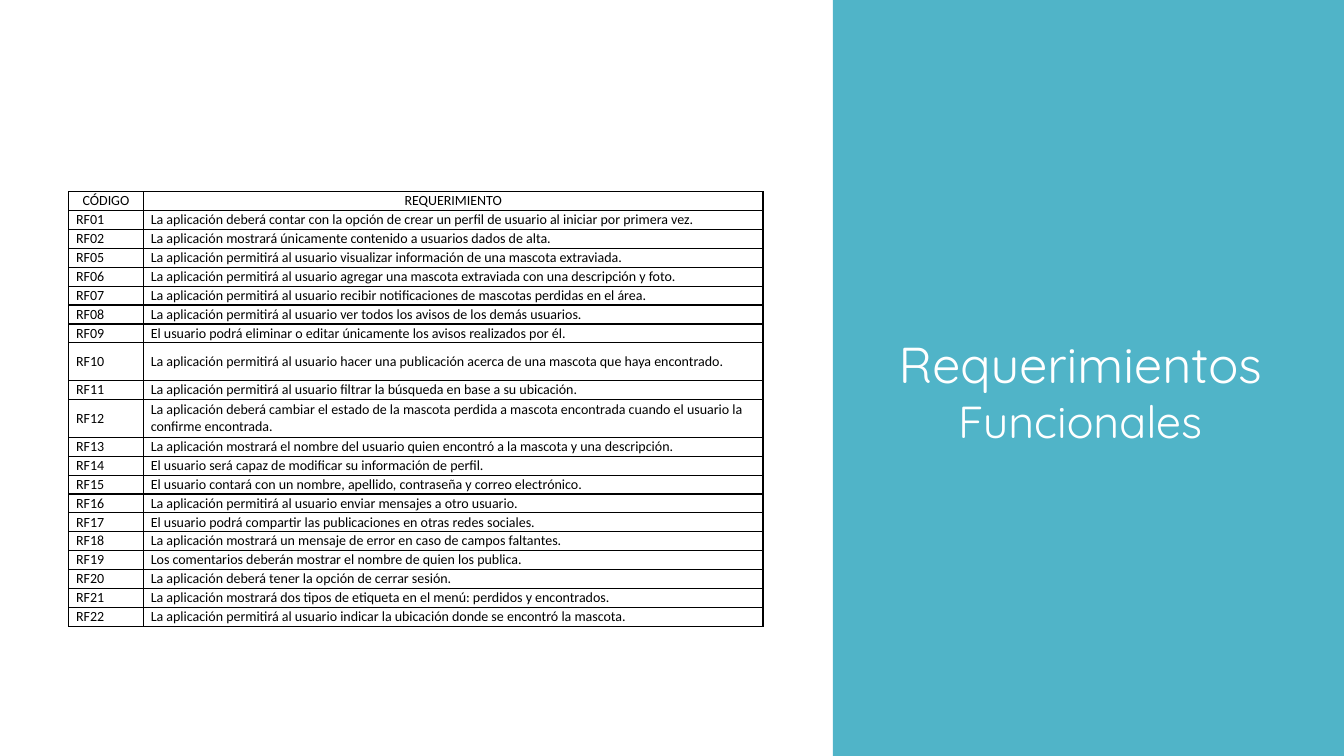
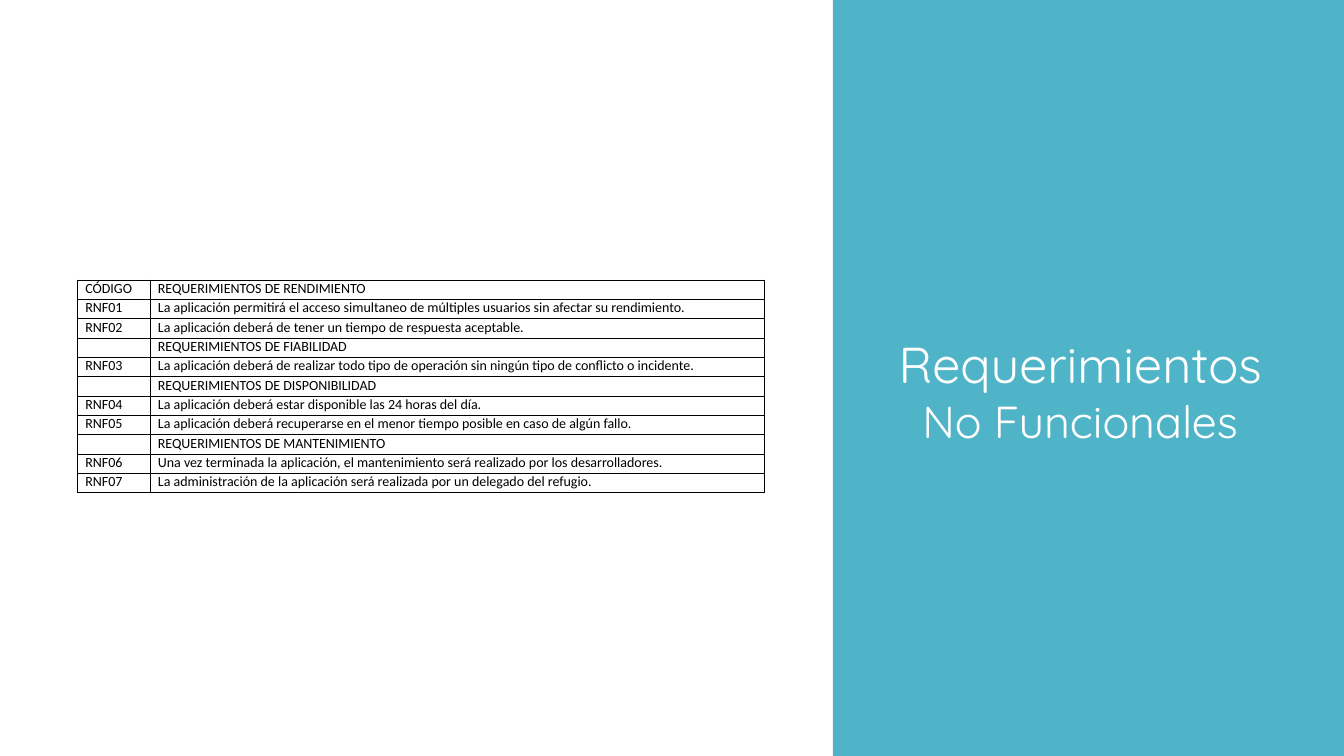
from dataclasses import dataclass

from lxml import etree
from pptx import Presentation
from pptx.dml.color import RGBColor
from pptx.enum import shapes, text
from pptx.oxml import ns
from pptx.slide import Slide
from pptx.table import _Cell as Cell
from pptx.util import Cm, Pt

TEAL = RGBColor(0x50, 0xB4, 0xC8)
WHITE = RGBColor(0xFF, 0xFF, 0xFF)
BLACK = RGBColor(0, 0, 0)
TITLE_FONT = "Quicksand"
GRID_FONT = "Calibri"
GRID_SIZE = Pt(10)
WIDTH, HEIGHT = Cm(33.87), Cm(19.05)
PANEL = Cm(20.99)
MID = text.MSO_ANCHOR.MIDDLE
TOP = text.MSO_ANCHOR.TOP
LEFT = text.PP_ALIGN.LEFT
CENTER = text.PP_ALIGN.CENTER


@dataclass(frozen=True)
class Row:
    code: str
    need: str
    units: int = 1


@dataclass(frozen=True)
class Page:
    """Column widths and places are in centimetres."""
    kind: str
    left: float
    top: float
    cols: tuple[float, float]
    height: float
    anchor: text.MSO_ANCHOR
    head: text.PP_ALIGN
    rows: tuple[Row, ...]


PAGES = (
    Page("Funcionales", 1.73, 4.83, (1.88, 15.62), 10.97, MID, CENTER, (
        Row("CÓDIGO", "REQUERIMIENTO"),
        Row("RF01", "La aplicación deberá contar con la opción de crear un perfil de usuario al iniciar por primera vez."),
        Row("RF02", "La aplicación mostrará únicamente contenido a usuarios dados de alta."),
        Row("RF05", "La aplicación permitirá al usuario visualizar información de una mascota extraviada."),
        Row("RF06", "La aplicación permitirá al usuario agregar una mascota extraviada con una descripción y foto."),
        Row("RF07", "La aplicación permitirá al usuario recibir notificaciones de mascotas perdidas en el área."),
        Row("RF08", "La aplicación permitirá al usuario ver todos los avisos de los demás usuarios."),
        Row("RF09", "El usuario podrá eliminar o editar únicamente los avisos realizados por él."),
        Row("RF10", "La aplicación permitirá al usuario hacer una publicación acerca de una mascota que haya encontrado.", 2),
        Row("RF11", "La aplicación permitirá al usuario filtrar la búsqueda en base a su ubicación."),
        Row("RF12", "La aplicación deberá cambiar el estado de la mascota perdida a mascota encontrada "
                    "cuando el usuario la confirme encontrada.", 2),
        Row("RF13", "La aplicación mostrará el nombre del usuario quien encontró a la mascota y una descripción."),
        Row("RF14", "El usuario será capaz de modificar su información de perfil."),
        Row("RF15", "El usuario contará con un nombre, apellido, contraseña y correo electrónico."),
        Row("RF16", "La aplicación permitirá al usuario enviar mensajes a otro usuario."),
        Row("RF17", "El usuario podrá compartir las publicaciones en otras redes sociales."),
        Row("RF18", "La aplicación mostrará un mensaje de error en caso de campos faltantes."),
        Row("RF19", "Los comentarios deberán mostrar el nombre de quien los publica."),
        Row("RF20", "La aplicación deberá tener la opción de cerrar sesión."),
        Row("RF21", "La aplicación mostrará dos tipos de etiqueta en el menú: perdidos y encontrados."),
        Row("RF22", "La aplicación permitirá al usuario indicar la ubicación donde se encontró la mascota."),
    )),
    Page("No Funcionales", 1.96, 7.06, (1.83, 15.47), 5.36, TOP, LEFT, (
        Row("CÓDIGO", "REQUERIMIENTOS DE RENDIMIENTO"),
        Row("RNF01", "La aplicación permitirá el acceso simultaneo de múltiples usuarios sin afectar su rendimiento."),
        Row("RNF02", "La aplicación deberá de tener un tiempo de respuesta aceptable."),
        Row("", "REQUERIMIENTOS DE FIABILIDAD"),
        Row("RNF03", "La aplicación deberá de realizar todo tipo de operación sin ningún tipo de conflicto o incidente."),
        Row("", "REQUERIMIENTOS DE DISPONIBILIDAD"),
        Row("RNF04", "La aplicación deberá estar disponible las 24 horas del día."),
        Row("RNF05", "La aplicación deberá recuperarse en el menor tiempo posible en caso de algún fallo."),
        Row("", "REQUERIMIENTOS DE MANTENIMIENTO"),
        Row("RNF06", "Una vez terminada la aplicación, el mantenimiento será realizado por los desarrolladores."),
        Row("RNF07", "La administración de la aplicación será realizada por un delegado del refugio."),
    )),
)


def style(para, font: str, size: Pt, color: RGBColor) -> None:
    for run in para.runs:
        run.font.name = font
        run.font.size = size
        run.font.color.rgb = color


def panel(slide: Slide, kind: str) -> None:
    """Draw the teal side panel with its two-line title."""
    band = slide.shapes.add_shape(
        shapes.MSO_SHAPE.RECTANGLE, PANEL, 0, WIDTH - PANEL, HEIGHT)
    band.shadow.inherit = False
    band.fill.solid()
    band.fill.fore_color.rgb = TEAL
    band.line.fill.background()

    box = slide.shapes.add_textbox(Cm(22.17), Cm(8.26), Cm(10.11), Cm(3.17))
    frame = box.text_frame
    frame.word_wrap = False
    frame.auto_size = text.MSO_AUTO_SIZE.SHAPE_TO_FIT_TEXT
    frame.text = f"Requerimientos\n{kind}"
    for para, size in zip(frame.paragraphs, (Pt(36), Pt(32))):
        para.alignment = CENTER
        style(para, TITLE_FONT, size, WHITE)


def border(cell: Cell) -> None:
    props = cell._tc.get_or_add_tcPr()
    for side in ("a:lnL", "a:lnR", "a:lnT", "a:lnB"):
        line = etree.SubElement(props, ns.qn(side), w=str(Pt(1)))
        fill = etree.SubElement(line, ns.qn("a:solidFill"))
        etree.SubElement(fill, ns.qn("a:srgbClr"), val=str(BLACK))


def write(cell: Cell, words: str, anchor: text.MSO_ANCHOR,
          align: text.PP_ALIGN) -> None:
    border(cell)
    cell.fill.background()
    cell.margin_left = cell.margin_right = Cm(0.19)
    cell.margin_top = cell.margin_bottom = 0
    cell.vertical_anchor = anchor
    cell.text_frame.text = words
    para = cell.text_frame.paragraphs[0]
    para.alignment = align
    style(para, GRID_FONT, GRID_SIZE, BLACK)
    if not words:  # keeps an empty row as low as the others
        etree.SubElement(para._p, ns.qn("a:endParaRPr"),
                         sz=str(int(GRID_SIZE.pt * 100)))


def grid(slide: Slide, page: Page) -> None:
    table = slide.shapes.add_table(
        len(page.rows), len(page.cols), Cm(page.left), Cm(page.top),
        Cm(sum(page.cols)), Cm(page.height)).table
    table.first_row = table.horz_banding = False
    for col, width in zip(table.columns, page.cols):
        col.width = Cm(width)
    unit = page.height / sum(row.units for row in page.rows)
    for i, row in enumerate(page.rows):
        table.rows[i].height = Cm(unit * row.units)
        align = LEFT if i else page.head
        for j, words in enumerate((row.code, row.need)):
            write(table.cell(i, j), words, page.anchor, align)


def main() -> None:
    deck = Presentation()
    deck.slide_width, deck.slide_height = WIDTH, HEIGHT
    for page in PAGES:
        slide = deck.slides.add_slide(deck.slide_layouts[6])
        panel(slide, page.kind)
        grid(slide, page)
    deck.save("out.pptx")


if __name__ == "__main__":
    main()
